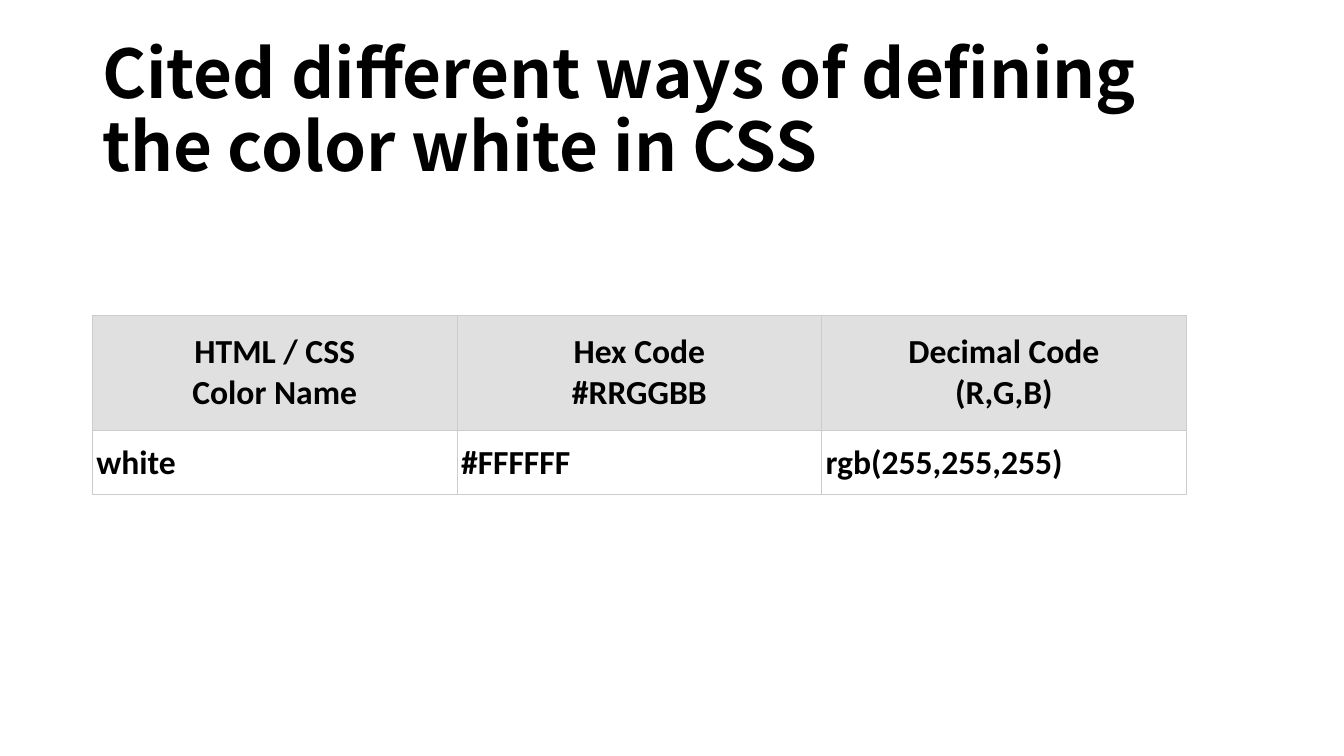
from lxml.etree import SubElement
from pptx import Presentation
from pptx.dml.color import RGBColor
from pptx.enum.text import MSO_ANCHOR, PP_ALIGN
from pptx.oxml.ns import qn
from pptx.util import Inches, Pt

deck = Presentation()
deck.slide_width, deck.slide_height = Inches(13.33), Inches(7.5)
page = deck.slides.add_slide(deck.slide_layouts[6])

# One percent of the slide's width and height
across, down = deck.slide_width / 100, deck.slide_height / 100
left = int(6.88 * across)


def color(value):
    return RGBColor.from_string(value)


def write(frame, text, font_format):
    """Put text in the first paragraph and format its runs."""
    para = frame.paragraphs[0]
    para.text = text
    for span in para.runs:
        span.font.color.rgb = color("000000")
        for name, value in font_format.items():
            setattr(span.font, name, value)
    return para


# Title
box = page.shapes.add_textbox(left, int(5.33 * down), int(86.25 * across), int(19.33 * down))
box.text_frame.word_wrap = True
box.text_frame.vertical_anchor = MSO_ANCHOR.MIDDLE
title = write(box.text_frame, "Cited different ways of defining the color white in CSS",
              {"name": "Noto Sans CJK SC", "size": Pt(48), "bold": True})
title.line_spacing = 0.9

# Table: three equal columns, a header row and a value row
rows = [
    ["HTML / CSS\vColor Name", "Hex Code\v#RRGGBB", "Decimal Code\v(R,G,B)"],
    ["white", "#FFFFFF", "rgb(255,255,255)"],
]
row_heights = [int(15.2 * down), int(8.53 * down)]
column_width = int(27.13 * across)
frame = page.shapes.add_table(len(rows), len(rows[0]), left, int(41.73 * down),
                              column_width * len(rows[0]), sum(row_heights))
table = frame.table
table.horz_banding = False
for column in table.columns:
    column.width = column_width

cell_font = {"name": "Calibri", "size": Pt(24), "bold": True}
cell_format = {"vertical_anchor": MSO_ANCHOR.MIDDLE}
for side in ("left", "right", "top", "bottom"):
    cell_format[f"margin_{side}"] = Inches(0.04)

for row_index, texts in enumerate(rows):
    table.rows[row_index].height = row_heights[row_index]
    is_header = row_index == 0
    for column_index, text in enumerate(texts):
        cell = table.cell(row_index, column_index)
        for name, value in cell_format.items():
            setattr(cell, name, value)
        para = write(cell.text_frame, text, cell_font)
        para.alignment = PP_ALIGN.CENTER if is_header else PP_ALIGN.LEFT

        # Thin grey borders come before the fill in the cell's properties
        properties = cell._tc.get_or_add_tcPr()
        for edge in ("a:lnL", "a:lnR", "a:lnT", "a:lnB"):
            line = SubElement(properties, qn(edge), w=str(Pt(0.6)))
            line_fill = SubElement(line, qn("a:solidFill"))
            SubElement(line_fill, qn("a:srgbClr"), val="CCCCCC")
        if is_header:
            cell.fill.solid()
            cell.fill.fore_color.rgb = color("E0E0E0")
        else:
            cell.fill.background()

deck.save("out.pptx")
